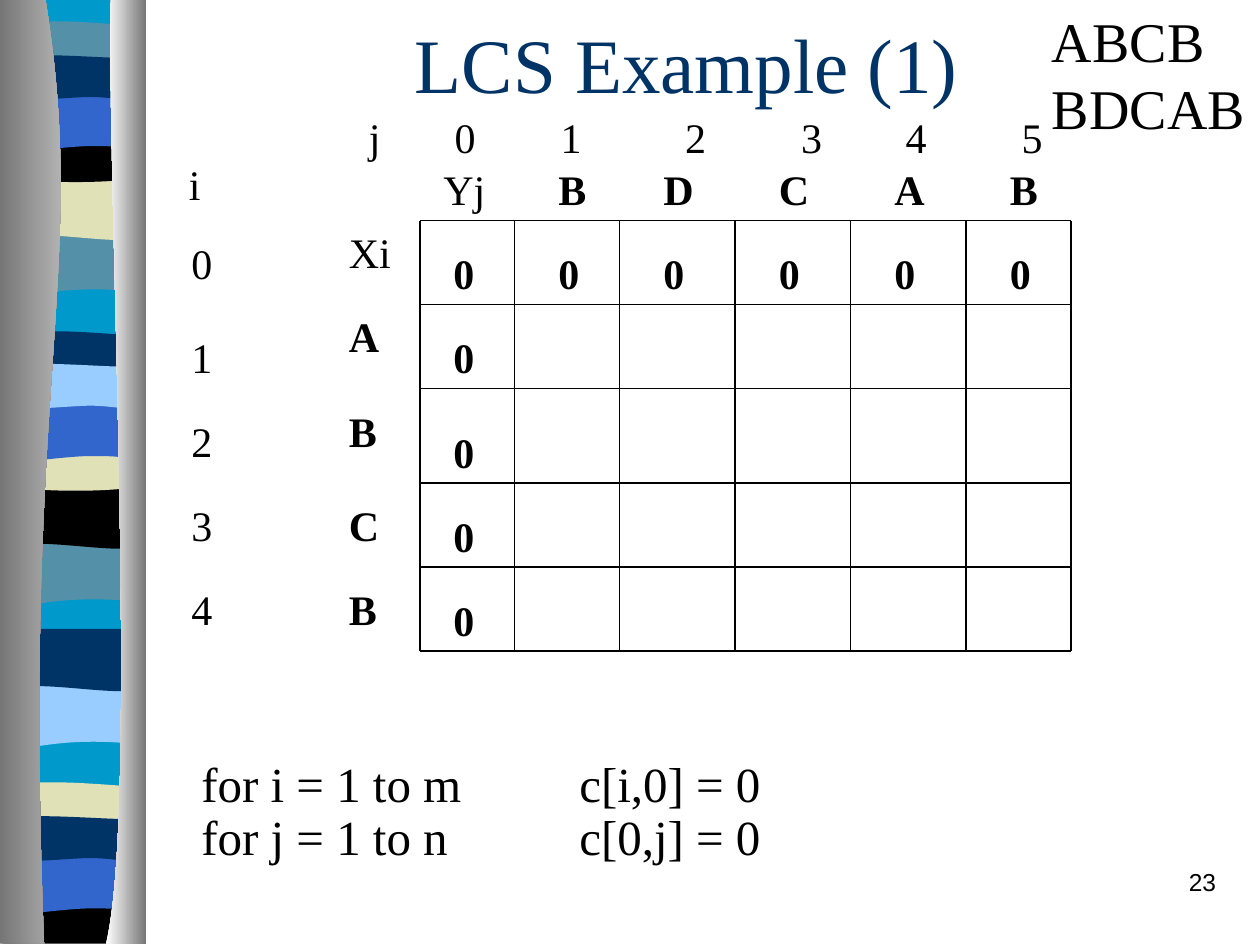
"""Builds the first LCS example slide: the empty table with its zero row and column."""
from lxml.etree import SubElement
from pptx import Presentation
from pptx.dml.color import RGBColor
from pptx.enum.shapes import MSO_CONNECTOR
from pptx.enum.text import MSO_ANCHOR, PP_ALIGN
from pptx.oxml.ns import qn
from pptx.util import Inches, Pt

COLORS = {
    "black": "000000", "navy": "003366", "sky": "0099CC", "steel": "5490A8",
    "sand": "E1E1B7", "blue": "3366CC", "pale": "99CCFF", "white": "FFFFFF",
    "gray": "767676", "silver": "D0D0D0",
}
SERIF = "Times New Roman"

BANDS = {
    "block": [(1.08, 0), (1.08, 7.48), (0, 7.48), (0, 0)],
    "sway": [(1.08, 0), (1.08, 0.47), (0.33, 0.39, 0.18, 0.55, 0, 0.47), (0, 0)],
    "swell": [(1.08, 0), (1.08, 0.47), (0.9, 0.55, 0.33, 0.41, 0, 0.47), (0, 0)],
    "crest": [(1.08, 0.05), (1.08, 0.29), (0.9, 0.33, 0.18, 0.33, 0, 0.29), (0, 0.05),
              (0.06, 0, 0.23, 0.01, 0.41, 0.01), (0.59, 0.01, 0.94, 0.04, 1.08, 0.05)],
    "bowl": [(1.08, 0), (1.08, 0.32), (0.9, 0.38, 0.18, 0.38, 0, 0.32), (0, 0),
             (0.66, 0.05, 0.85, 0, 1.08, 0)],
    "arch": [(1.08, 0), (1.08, 0.47), (0.91, 0.42, 0.84, 0.42, 0.66, 0.42),
             (0.48, 0.42, 0.16, 0.47, 0, 0.47), (0, 0)],
    "ripple": [(1.08, 0.05), (1.08, 0.36), (1.01, 0.41, 0.84, 0.36, 0.66, 0.36),
               (0.48, 0.36, 0.11, 0.41, 0, 0.36), (0, 0.05),
               (0.15, 0, 0.73, 0.05, 0.91, 0.05), (1.09, 0.05, 1.04, 0.05, 1.08, 0.05)],
    "base": [(1.08, 0), (1.08, 0.37), (0, 0.37), (0, 0), (0.66, 0.05, 0.85, 0, 1.08, 0)],
}
RIBBON = [
    ("block", -0.01, "sky"),
    ("sway", 1.85, "steel"), ("swell", 1.41, "sand"), ("crest", 0.16, "steel"),
    ("bowl", 1.08, "black"), ("arch", 0.74, "blue"), ("ripple", 0.41, "navy"),
    ("sway", 4.31, "steel"), ("swell", 3.86, "black"), ("crest", 2.62, "navy"),
    ("bowl", 3.53, "sand"), ("arch", 3.2, "blue"), ("ripple", 2.86, "pale"),
    ("sway", 5.44, "pale"), ("swell", 4.99, "navy"), ("crest", 6.2, "sand"),
    ("base", 7.12, "black"), ("arch", 6.79, "blue"), ("ripple", 6.45, "navy"),
]
LEFT_EDGE = [(0.36, -0.01), (0.71, 2.16, 0.17, 2.96, 0.35, 7.49), (0, 7.49), (0, -0.01)]
RIGHT_EDGE = [(0.88, -0.01), (0.84, 1.25, 1.11, 6.46, 0.84, 7.49), (1.16, 7.49), (1.16, -0.01)]


def twelfths(*counts):
    return [n / 12 for n in counts]


GRID_X = twelfths(40, 49, 59, 70, 81, 92, 102)
GRID_Y = twelfths(21, 29, 37, 46, 54, 62)
ZERO_X = twelfths(42, 52, 62, 73, 84, 95)
ZERO_Y = twelfths(23, 31, 40, 48, 56)
INDEX_Y = twelfths(22, 31, 39, 47, 55)
LETTER_Y = twelfths(21, 29, 38, 47, 55)
J_TABS = [0.68, 1.52, 2.51, 3.43, 4.26, 5.18]


def rgb(name):
    return RGBColor.from_string(COLORS[name])


def add_outline(slide, outline, left=0, top=0):
    points = [step[n:n + 2] for step in outline for n in range(0, len(step), 2)]
    places = [(Inches(left + x), Inches(top + y)) for x, y in points]
    builder = slide.shapes.build_freeform(*places[0])
    builder.add_line_segments(places[1:], close=True)
    s = builder.convert_to_shape()
    segments = iter(s._element.findall(".//" + qn("a:lnTo")))
    for step in outline[1:]:
        segment = next(segments)
        if len(step) == 6:
            segment.tag = qn("a:cubicBezTo")
            for _ in range(2):
                extra = next(segments)
                segment.append(extra[0])
                extra.getparent().remove(extra)
    s.shadow.inherit = False
    s.line.fill.background()
    return s


def add_band(slide, outline, top, color):
    s = add_outline(slide, outline, 0.06, top)
    s.fill.solid()
    s.fill.fore_color.rgb = rgb(color)


def add_edge(slide, outline, colors):
    s = add_outline(slide, outline)
    s.fill.gradient()
    s.fill.gradient_angle = 0
    for stop, color in zip(s.fill.gradient_stops, colors):
        stop.color.rgb = rgb(color)


def add_ribbon(slide):
    for name, top, color in RIBBON:
        add_band(slide, BANDS[name], top, color)
    add_edge(slide, LEFT_EDGE, ("gray", "silver"))
    add_edge(slide, RIGHT_EDGE, ("white", "gray"))


def add_line(slide, x1, y1, x2, y2):
    s = slide.shapes.add_connector(MSO_CONNECTOR.STRAIGHT, *map(Inches, (x1, y1, x2, y2)))
    s.line.color.rgb = rgb("black")
    s.line.width = Pt(0.75)
    SubElement(s._element.spPr, qn("a:effectLst"))


def add_tabs(p, tabs):
    tab_list = SubElement(p._p.get_or_add_pPr(), qn("a:tabLst"))
    for place in tabs:
        SubElement(tab_list, qn("a:tab"), pos=str(Inches(place)), algn="l")


def add_text(slide, lines, left, top, width=0.5, height=0.5, size=24, bold=False,
             color="black", font=SERIF, align=PP_ALIGN.LEFT, anchor=MSO_ANCHOR.TOP,
             spacing=None, tabs=()):
    tf = slide.shapes.add_textbox(*map(Inches, (left, top, width, height))).text_frame
    tf.word_wrap = True
    tf.vertical_anchor = anchor
    for n, line in enumerate(lines):
        p = tf.add_paragraph() if n else tf.paragraphs[0]
        p.text = line
        p.alignment = align
        if spacing:
            p.line_spacing = spacing
        if tabs:
            add_tabs(p, tabs)
        p.font.name = font
        p.font.size = Pt(size)
        p.font.bold = bold
        p.font.color.rgb = rgb(color)


def add_grid(slide):
    for x in GRID_X:
        add_line(slide, x, GRID_Y[0], x, GRID_Y[-1])
    for y in GRID_Y:
        add_line(slide, GRID_X[0], y, GRID_X[-1], y)


def add_labels(slide):
    add_text(slide, ["j\t0\t1\t2\t3\t4\t5"], 2.83, 10 / 12, 5.62, tabs=J_TABS)
    add_text(slide, ["i"], 1.4, 1.21)
    for i, y in enumerate(INDEX_Y):
        add_text(slide, [str(i)], 1.42, y)
    add_text(slide, ["Xi"], 2.67, LETTER_Y[0], 0.55)
    for letter, y in zip("ABCB", LETTER_Y[1:]):
        add_text(slide, [letter], 2.67, y, bold=True)
    add_text(slide, ["Yj"], 3.42, 1.25, 0.55)
    for letter, x in zip("BDCAB", ZERO_X[1:]):
        add_text(slide, [letter], x, 1.25, bold=True)


def add_zeros(slide):
    first_row = [(x, ZERO_Y[0]) for x in ZERO_X]
    first_column = [(ZERO_X[0], y) for y in ZERO_Y[1:]]
    for x, y in first_row + first_column:
        add_text(slide, ["0"], x, y, 0.36, bold=True)


def main():
    prs = Presentation()
    prs.slide_width, prs.slide_height = Inches(10), Inches(7.5)
    slide = prs.slides.add_slide(prs.slide_layouts[6])
    add_ribbon(slide)
    add_text(slide, ["23"], 7.67, 6.83, 2.08, size=14, font="Arial", align=PP_ALIGN.RIGHT)
    add_text(slide, ["LCS Example (1)"], 0.91, 0, 9.08, 1, size=44, color="navy",
             align=PP_ALIGN.CENTER, anchor=MSO_ANCHOR.MIDDLE)
    add_grid(slide)
    add_labels(slide)
    add_zeros(slide)
    add_text(slide, ["for i = 1 to m\tc[i,0] = 0", "for j = 1 to n\tc[0,j] = 0"],
             1.5, 5.58, 5.2, 1.34, size=28, anchor=MSO_ANCHOR.BOTTOM, spacing=0.9, tabs=[3])
    add_text(slide, ["ABCB", "BDCAB"], 8.25, 0, 1.75, 1.17, size=32)
    prs.save("out.pptx")


if __name__ == "__main__":
    main()
